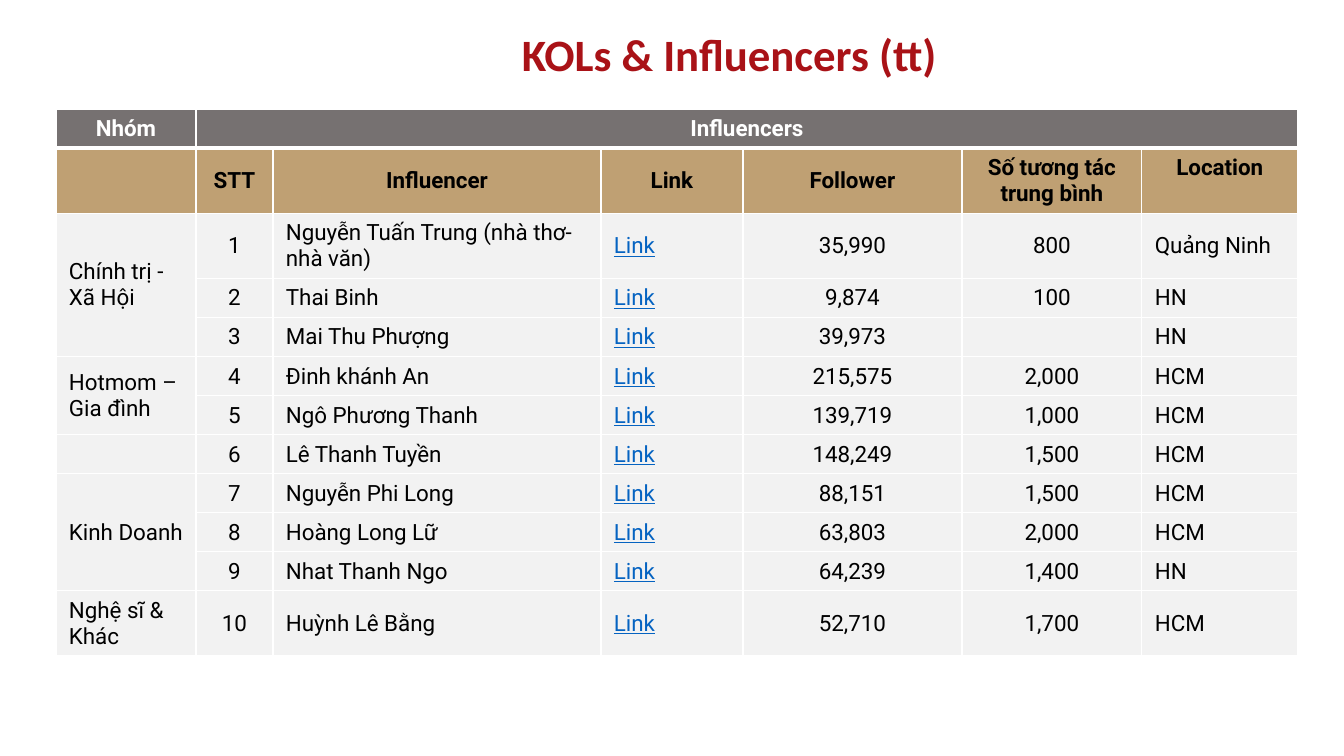
"""Build the slide that lists KOLs and influencers by group."""
from lxml import etree
from pptx import Presentation, util as u
from pptx.dml.color import RGBColor
from pptx.enum import text
from pptx.oxml import ns

PX = 914400 / 100.8
THEME = {
    "title": "A91217", "header": "767171", "subheader": "BFA073", "body": "F2F2F2",
    "white": "FFFFFF", "black": "000000", "link": "0563C1",
    "title_font": "Calibri", "table_font": "Roboto", "title_size": 32, "table_size": 16,
}
COLUMN_WIDTHS = [140, 77, 328, 142, 219, 180, 156]
CENTERED_COLUMNS = {1, 4, 5}
LINK_COLUMN = 3
ROWS = [
    ["Nhóm", "Influencers", "", "", "", "", ""],
    ["", "STT", "Influencer", "Link", "Follower", "Số tương tác trung bình", "Location"],
]
INFLUENCERS = [
    ("Chính trị - Xã Hội", "Nguyễn Tuấn Trung (nhà thơ- nhà văn)", "35,990", "800", "Quảng Ninh"),
    ("", "Thai Binh", "9,874", "100", "HN"),
    ("", "Mai Thu Phượng", "39,973", "", "HN"),
    ("Hotmom – Gia đình", "Đinh khánh An", "215,575", "2,000", "HCM"),
    ("", "Ngô Phương Thanh", "139,719", "1,000", "HCM"),
    ("", "Lê Thanh Tuyền", "148,249", "1,500", "HCM"),
    ("Kinh Doanh", "Nguyễn Phi Long", "88,151", "1,500", "HCM"),
    ("", "Hoàng Long Lữ", "63,803", "2,000", "HCM"),
    ("", "Nhat Thanh Ngo", "64,239", "1,400", "HN"),
    ("Nghệ sĩ & Khác", "Huỳnh Lê Bằng", "52,710", "1,700", "HCM"),
]
for number, (group, name, followers, interactions, location) in enumerate(INFLUENCERS, 1):
    ROWS.append([group, str(number), name, "Link", followers, interactions, location])
TALL_ROWS = {1, 2, len(ROWS) - 1}
MERGES = [(0, 1, 0, 6), (2, 0, 4, 0), (5, 0, 6, 0), (8, 0, 10, 0)]


def px(length):
    """Turn a length in px into EMU."""
    return u.Emu(round(length * PX))


def set_format(target, values):
    """Set each named attribute of the target."""
    for name, value in values.items():
        setattr(target, name, value)


presentation = Presentation()
set_format(presentation, {"slide_width": px(1344), "slide_height": px(756)})
slide = presentation.slides.add_slide(presentation.slide_layouts[5])

title = slide.shapes.title
set_format(title, {"left": px(324), "top": px(26), "width": px(811), "height": px(56)})
title.text_frame.text = "KOLs & Influencers (tt)"
set_format(title.text_frame, {
    "word_wrap": True, "auto_size": text.MSO_AUTO_SIZE.NONE,
    "vertical_anchor": text.MSO_ANCHOR.MIDDLE,
    "margin_left": px(3), "margin_right": px(3), "margin_top": px(3), "margin_bottom": px(3),
})
paragraph = title.text_frame.paragraphs[0]
paragraph.alignment = text.PP_ALIGN.CENTER
font = paragraph.runs[0].font
set_format(font, {"name": THEME["title_font"], "size": u.Pt(THEME["title_size"]), "bold": True})
font.color.rgb = RGBColor.from_string(THEME["title"])

frame = slide.shapes.add_table(len(ROWS), len(COLUMN_WIDTHS), px(56), px(109), px(1242), px(564))
table = frame.table
set_format(table, {"first_row": False, "horz_banding": False})
for column, width in zip(table.columns, COLUMN_WIDTHS):
    column.width = px(width)

for row_index, row in enumerate(ROWS):
    table.rows[row_index].height = px(57 if row_index in TALL_ROWS else 34)
    is_heading = row_index < 2
    fill = ("header", "subheader", "body")[min(row_index, 2)]
    for column_index, value in enumerate(row):
        cell = table.cell(row_index, column_index)
        is_link = column_index == LINK_COLUMN and not is_heading
        centered = is_heading or column_index in CENTERED_COLUMNS
        anchor = text.MSO_ANCHOR.TOP if value == "Location" else text.MSO_ANCHOR.MIDDLE
        set_format(cell, {
            "vertical_anchor": anchor, "margin_left": px(13), "margin_right": px(13),
            "margin_top": px(7), "margin_bottom": px(6),
        })
        cell.fill.solid()
        cell.fill.fore_color.rgb = RGBColor.from_string(THEME[fill])

        properties = cell._tc.get_or_add_tcPr()
        for position, side in enumerate(("lnL", "lnR", "lnT", "lnB")):
            thick = (row_index, side) in {(0, "lnB"), (1, "lnT")}
            line = etree.Element(ns.qn("a:" + side), w=str(u.Pt(3 if thick else 1)))
            line_fill = etree.SubElement(line, ns.qn("a:solidFill"))
            etree.SubElement(line_fill, ns.qn("a:srgbClr"), val=THEME["white"])
            properties.insert(position, line)

        paragraph = cell.text_frame.paragraphs[0]
        paragraph.alignment = text.PP_ALIGN.CENTER if centered else text.PP_ALIGN.LEFT
        if value:
            run = paragraph.add_run()
            run.text = value
            set_format(run.font, {
                "name": THEME["table_font"], "size": u.Pt(THEME["table_size"]),
                "bold": is_heading, "underline": is_link,
            })
            color = "white" if row_index == 0 else "link" if is_link else "black"
            run.font.color.rgb = RGBColor.from_string(THEME[color])
        else:
            ending = etree.SubElement(
                paragraph._p, ns.qn("a:endParaRPr"), sz=str(THEME["table_size"] * 100))
            etree.SubElement(ending, ns.qn("a:latin"), typeface=THEME["table_font"])

for first_row, first_column, last_row, last_column in MERGES:
    table.cell(first_row, first_column).merge(table.cell(last_row, last_column))

presentation.save("out.pptx")
